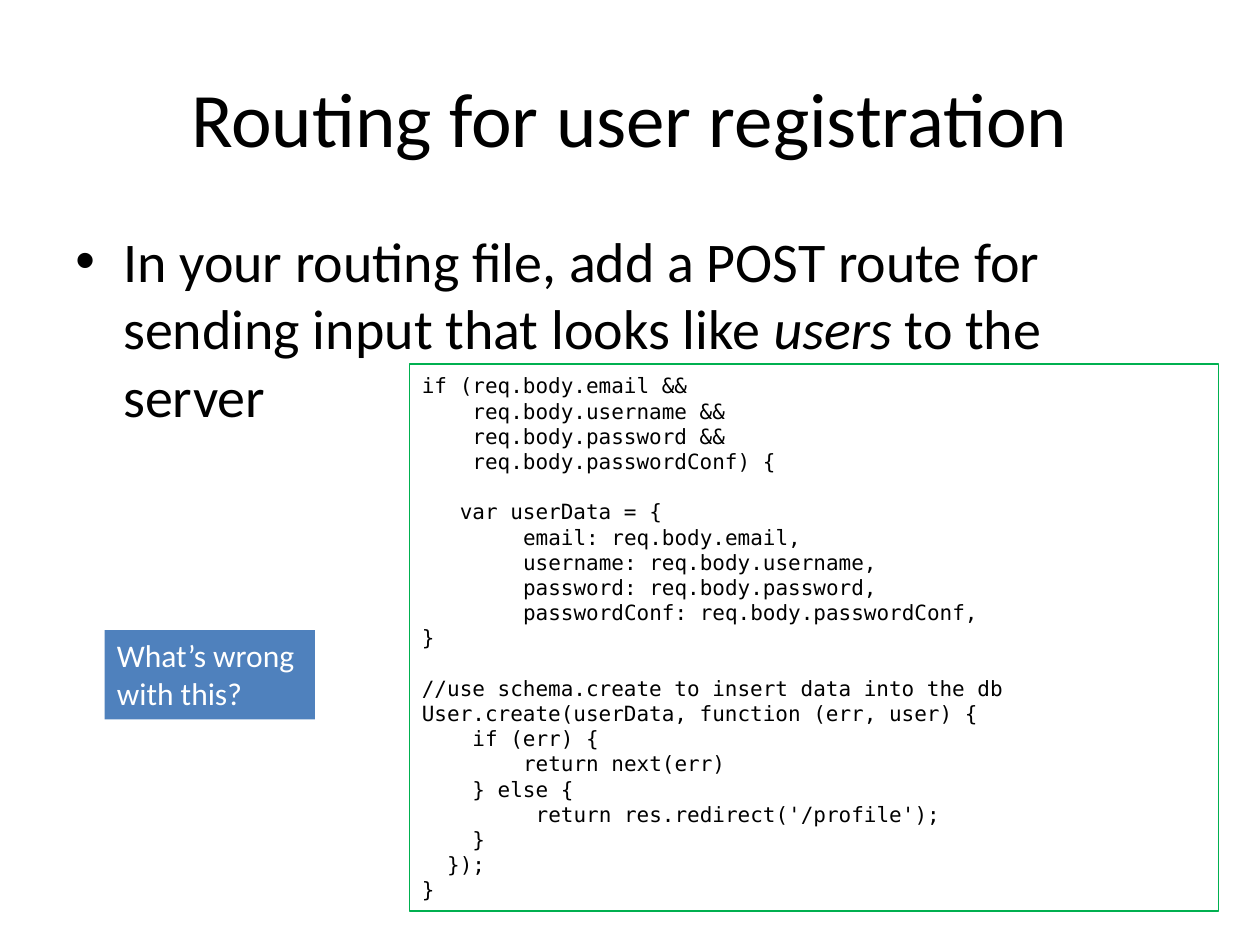
import pptx
import pptx.dml.color
import pptx.enum.shapes
import pptx.enum.text
import pptx.util
from pptx.util import Inches

COLORS = {"text": "000000", "border": "00B050", "callout": "4F81BD", "white": "FFFFFF"}
BODY_FONT = "Calibri"
CODE_FONT = "DejaVu Sans Mono"
CODE_SIZE = 12
CODE_LEADING = 14.4
CODE_COLUMN = 0.602 * CODE_SIZE  # width of one character in points

# Blocks of code lines, each line as (indent in columns, text)
CODE = [
    [
        (0, "if (req.body.email &&"),
        (4, "req.body.username &&"),
        (4, "req.body.password &&"),
        (4, "req.body.passwordConf) {"),
    ],
    [
        (3, "var userData = {"),
        (8, "email: req.body.email,"),
        (8, "username: req.body.username,"),
        (8, "password: req.body.password,"),
        (8, "passwordConf: req.body.passwordConf,"),
        (0, "}"),
    ],
    [
        (0, "//use schema.create to insert data into the db"),
        (0, "User.create(userData, function (err, user) {"),
        (4, "if (err) {"),
        (8, "return next(err)"),
        (4, "} else {"),
        (9, "return res.redirect('/profile');"),
        (4, "}"),
        (2, "});"),
        (0, "}"),
    ],
]


def rgb(name):
    return pptx.dml.color.RGBColor.from_string(COLORS[name])


def add_run(p, text, size, font=BODY_FONT, color="text", italic=False):
    r = p.add_run()
    r.text = text
    r.font.name = font
    r.font.size = pptx.util.Pt(size)
    r.font.italic = italic
    r.font.color.rgb = rgb(color)


def add_text_box(s, left, top, width, height):
    tf = s.shapes.add_textbox(Inches(left), Inches(top), Inches(width), Inches(height)).text_frame
    tf.word_wrap = True
    return tf


def add_box(s, left, top, width, height, fill=None, line=None):
    sp = s.shapes.add_shape(
        pptx.enum.shapes.MSO_SHAPE.RECTANGLE,
        Inches(left), Inches(top), Inches(width), Inches(height))
    sp.shadow.inherit = False
    if fill:
        sp.fill.solid()
        sp.fill.fore_color.rgb = rgb(fill)
    else:
        sp.fill.background()
    if line:
        sp.line.color.rgb = rgb(line)
        sp.line.width = pptx.util.Pt(0.75)
    else:
        sp.line.fill.background()
    sp.text_frame.word_wrap = True
    return sp.text_frame


def add_bullet(p, indent):
    pPr = p._p.get_or_add_pPr()
    pPr.set("marL", str(Inches(indent)))
    pPr.set("indent", str(-Inches(indent)))
    for tag, name, value in (("a:buFont", "typeface", "Arial"), ("a:buChar", "char", "•")):
        bullet = pptx.oxml.xmlchemy.OxmlElement(tag)
        bullet.set(name, value)
        pPr.append(bullet)


def add_code(tf, blocks):
    p = tf.paragraphs[0]
    for b, block in enumerate(blocks):
        for n, (columns, text) in enumerate(block):
            if b or n:
                p = tf.add_paragraph()
            p.alignment = pptx.enum.text.PP_ALIGN.LEFT
            p.line_spacing = pptx.util.Pt(CODE_LEADING)
            if b and n == 0:
                p.space_before = pptx.util.Pt(CODE_LEADING)
            p._p.get_or_add_pPr().set("marL", str(pptx.util.Pt(columns * CODE_COLUMN)))
            add_run(p, text, CODE_SIZE, CODE_FONT)


def main():
    prs = pptx.Presentation()
    prs.slide_width, prs.slide_height = Inches(10), Inches(7.5)
    s = prs.slides.add_slide(prs.slide_layouts[6])

    # Title
    tf = add_text_box(s, 0.5, 0.3, 9, 1.25)
    tf.vertical_anchor = pptx.enum.text.MSO_ANCHOR.MIDDLE
    p = tf.paragraphs[0]
    p.alignment = pptx.enum.text.PP_ALIGN.CENTER
    add_run(p, "Routing for user registration", 44)

    # Bullet text
    p = add_text_box(s, 0.5, 1.75, 9, 4.95).paragraphs[0]
    add_bullet(p, 0.38)
    add_run(p, "In your routing file, add a POST route for sending input that looks like ", 32)
    add_run(p, "users ", 32, italic=True)
    add_run(p, "to the server", 32)

    # Code listing
    tf = add_box(s, 3.25, 2.89, 6.42, 4.34, line="border")
    tf.vertical_anchor = pptx.enum.text.MSO_ANCHOR.MIDDLE
    add_code(tf, CODE)

    # Question callout
    tf = add_box(s, 0.83, 5, 1.67, 0.71, fill="callout")
    tf.vertical_anchor = pptx.enum.text.MSO_ANCHOR.TOP
    p = tf.paragraphs[0]
    p.alignment = pptx.enum.text.PP_ALIGN.LEFT
    add_run(p, "What’s wrong with this?", 18, color="white")

    prs.save("out.pptx")


if __name__ == "__main__":
    main()
